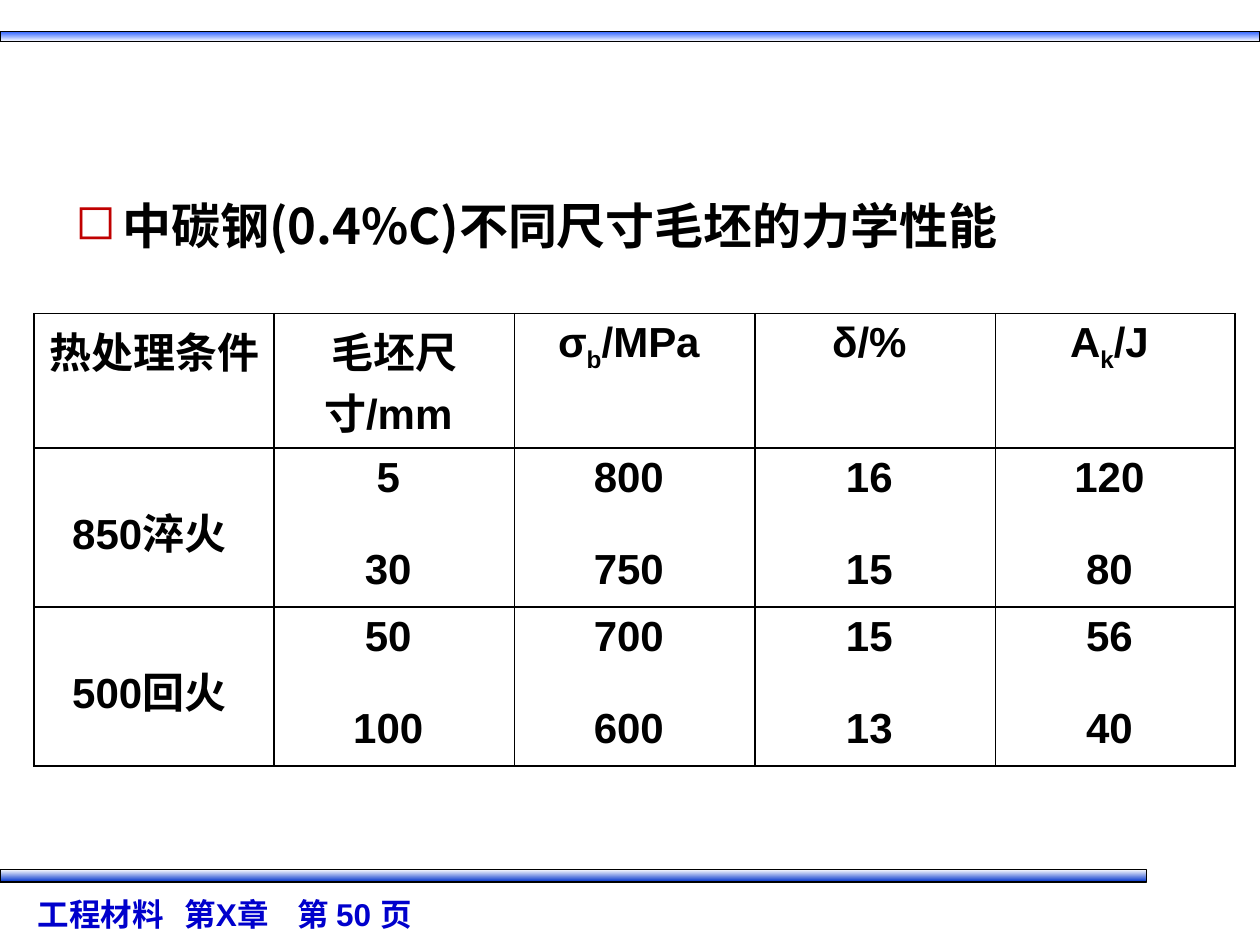
from lxml import etree
from pptx import Presentation
from pptx.dml.color import RGBColor
from pptx.enum.shapes import MSO_SHAPE as Shape
from pptx.enum.text import PP_ALIGN as Align
from pptx.oxml.ns import qn
from pptx.util import Cm, Pt

LATIN, HAN = "Arial", "Noto Sans CJK SC"
TITLE = "中碳钢(0.4%C)不同尺寸毛坯的力学性能"
FOOT = "工程材料\t第X章\t第 50 页"
HEAD = [
    ["热处理条件 "],
    ["毛坯尺寸/mm "],
    ["σ", "b", "/MPa "],
    ["δ/% "],
    ["A", "k", "/J "],
]
BODY = [
    ["850淬火 ", ("5 ", "30 "), ("800 ", "750 "), ("16 ", "15 "), ("120 ", "80 ")],
    ["500回火 ", ("50 ", "100 "), ("700 ", "600 "), ("15 ", "13 "), ("56 ", "40 ")],
]
BARS = [
    (0.64, 25.4, 0.2, "3366FF", "FFFFFF"),
    (17.53, 23.11, 0.25, "FFFFFF", "0033CC"),
]
WIDTHS = [4.83, 4.85, 4.85, 4.85, 4.83]
HEIGHTS = [2.71, 3.09, 3.09]


def paint(text):
    return RGBColor.from_string(text)


def sub(node, tag, **attrs):
    return etree.SubElement(node, qn(tag), attrs)


def add_run(par, text, size, color="000000", face=LATIN, base=None):
    run = par.add_run()
    run.text = text
    font = run.font
    font.size, font.bold, font.name = Pt(size), True, face
    font.color.rgb = paint(color)
    props = run._r.get_or_add_rPr()
    sub(props, "a:ea", typeface=HAN)
    if base:
        props.set("baseline", str(base))


def add_bar(slide, top, width, height, start, end):
    bar = slide.shapes.add_shape(Shape.RECTANGLE, 0, Cm(top), Cm(width), Cm(height))
    bar.shadow.inherit = False
    bar.fill.gradient()
    bar.fill.gradient_angle = 270
    for stop, color, pos in zip(bar.fill.gradient_stops, (start, end), (0, 1)):
        stop.color.rgb = paint(color)
        stop.position = pos
    bar.line.color.rgb = paint("000000")
    bar.line.width = Pt(0.75)


def add_box(slide, left, top, width, height):
    box = slide.shapes.add_textbox(Cm(left), Cm(top), Cm(width), Cm(height))
    box.text_frame.word_wrap = True
    return box.text_frame.paragraphs[0]


def add_title(slide):
    par = add_box(slide, 1.27, 3.81, 22.66, 6.15)
    props = par._p.get_or_add_pPr()
    props.set("marL", str(Cm(0.95)))
    props.set("indent", str(Cm(-0.95)))
    sub(sub(props, "a:buClr"), "a:srgbClr", val="C00000")
    sub(props, "a:buChar", char="◻")
    add_run(par, TITLE, 28, face=HAN)


def add_foot(slide):
    par = add_box(slide, 0.51, 17.91, 16.2, 1.02)
    tabs = sub(par._p.get_or_add_pPr(), "a:tabLst")
    for pos in (2.96, 5.24):
        sub(tabs, "a:tab", pos=str(Cm(pos)), algn="l")
    add_run(par, FOOT, 18, "0000CC")


def frame(cell):
    cell.fill.background()
    props = cell._tc.get_or_add_tcPr()
    for spot, side in enumerate(("a:lnL", "a:lnR", "a:lnT", "a:lnB")):
        line = etree.Element(qn(side), w=str(Pt(1)))
        sub(sub(line, "a:solidFill"), "a:srgbClr", val="000000")
        props.insert(spot, line)


def add_grid(slide):
    shape = slide.shapes.add_table(
        len(HEIGHTS), len(WIDTHS), Cm(0.69), Cm(6.32), Cm(sum(WIDTHS)), Cm(sum(HEIGHTS))
    )
    grid = shape.table
    grid.first_row = grid.horz_banding = False
    for col, width in zip(grid.columns, WIDTHS):
        col.width = Cm(width)
    for row, height in zip(grid.rows, HEIGHTS):
        row.height = Cm(height)
    for cell in grid.iter_cells():
        frame(cell)
    for col, parts in enumerate(HEAD):
        par = grid.cell(0, col).text_frame.paragraphs[0]
        par.alignment = Align.CENTER
        for spot, text in enumerate(parts):
            add_run(par, text, 24, base=-25000 if spot == 1 else None)
    for row, (label, *pairs) in enumerate(BODY, 1):
        grid.cell(row, 0).margin_top = Cm(1.07)
        for col, lines in enumerate([(label,), *pairs]):
            text = grid.cell(row, col).text_frame
            for spot, line in enumerate(lines):
                par = text.add_paragraph() if spot else text.paragraphs[0]
                par.alignment = Align.CENTER
                if spot:
                    par.space_before = Pt(26)
                add_run(par, line, 24)


def main():
    deck = Presentation()
    deck.slide_width, deck.slide_height = Cm(25.4), Cm(19.05)
    slide = deck.slides.add_slide(deck.slide_layouts[6])
    for bar in BARS:
        add_bar(slide, *bar)
    add_foot(slide)
    add_title(slide)
    add_grid(slide)
    deck.save("out.pptx")


if __name__ == "__main__":
    main()
